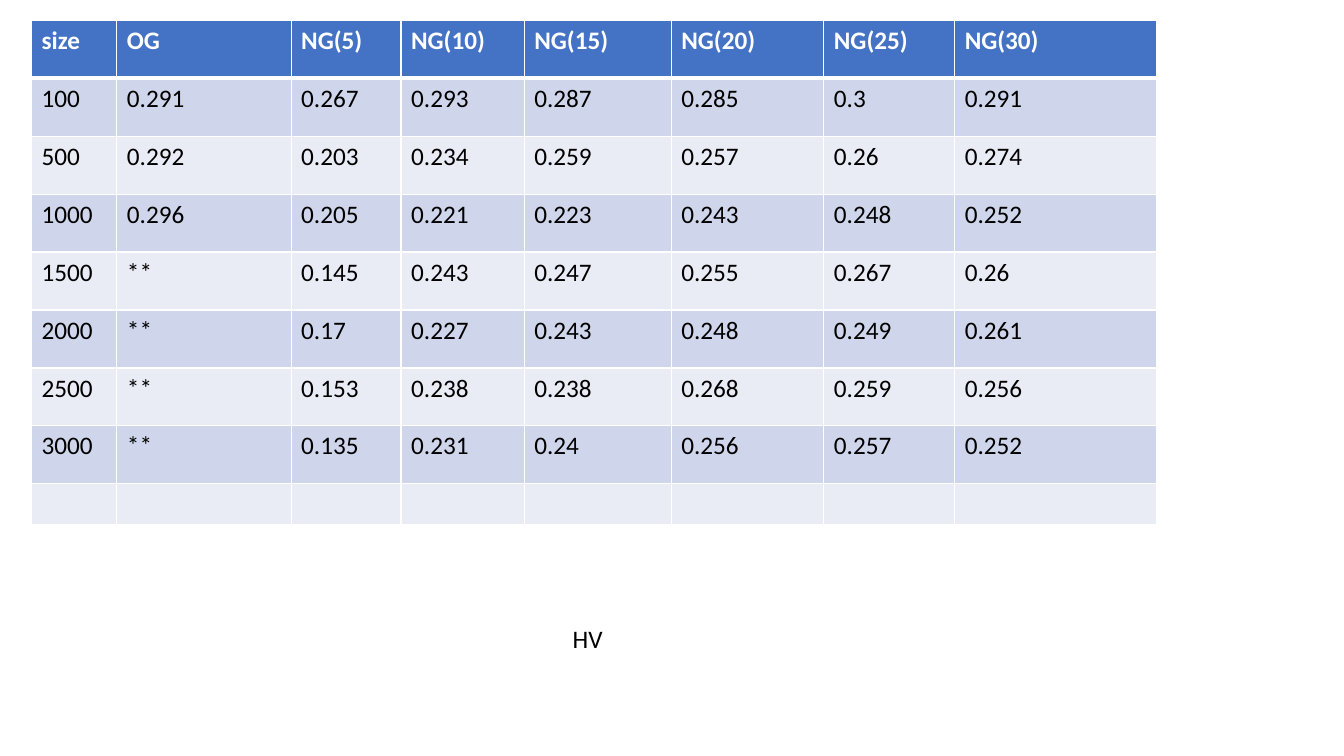
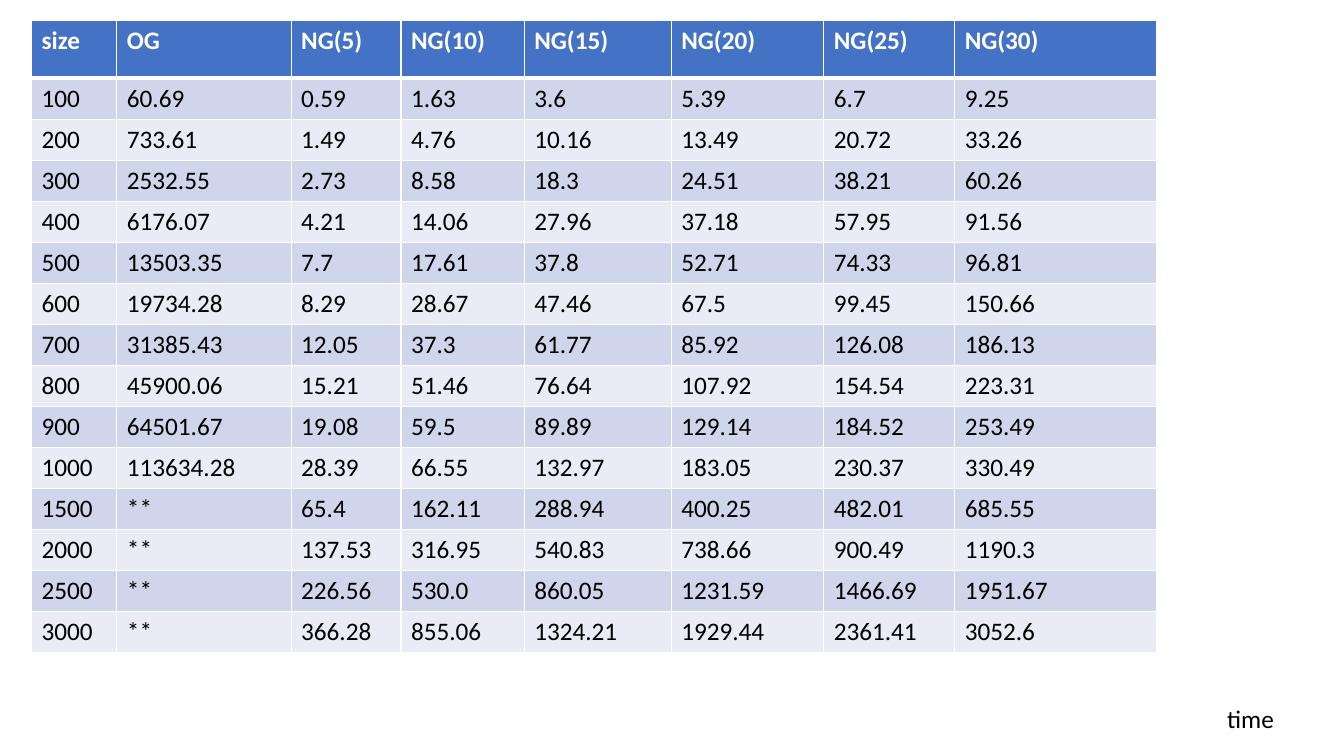
from lxml import etree
from pptx import Presentation
from pptx.dml.color import RGBColor
from pptx.enum import text
from pptx.oxml import ns
from pptx.util import Pt

COLOURS = {
    "header": "4472C4",
    "dark_band": "CFD5EA",
    "light_band": "E9EBF5",
    "white": "FFFFFF",
    "black": "000000",
}
FONT = "Calibri"
TEXT_SIZE = 18
BLANK_LAYOUT = 6
TABLE_LEFT, TABLE_TOP = 22.5, 14.5
COLUMN_WIDTHS = [61, 124.5, 78.5, 88, 105, 109, 93.5, 144.5]
HEADER_HEIGHT = 41.4
THIN, THICK = 1, 3

HEADINGS = ["size", "OG"] + [f"NG({count})" for count in range(5, 31, 5)]

HV_RESULTS = """
100 0.291 0.267 0.293 0.287 0.285 0.3 0.291
500 0.292 0.203 0.234 0.259 0.257 0.26 0.274
1000 0.296 0.205 0.221 0.223 0.243 0.248 0.252
1500 ** 0.145 0.243 0.247 0.255 0.267 0.26
2000 ** 0.17 0.227 0.243 0.248 0.249 0.261
2500 ** 0.153 0.238 0.238 0.268 0.259 0.256
3000 ** 0.135 0.231 0.24 0.256 0.257 0.252
"""

TIME_RESULTS = """
100 60.69 0.59 1.63 3.6 5.39 6.7 9.25
200 733.61 1.49 4.76 10.16 13.49 20.72 33.26
300 2532.55 2.73 8.58 18.3 24.51 38.21 60.26
400 6176.07 4.21 14.06 27.96 37.18 57.95 91.56
500 13503.35 7.7 17.61 37.8 52.71 74.33 96.81
600 19734.28 8.29 28.67 47.46 67.5 99.45 150.66
700 31385.43 12.05 37.3 61.77 85.92 126.08 186.13
800 45900.06 15.21 51.46 76.64 107.92 154.54 223.31
900 64501.67 19.08 59.5 89.89 129.14 184.52 253.49
1000 113634.28 28.39 66.55 132.97 183.05 230.37 330.49
1500 ** 65.4 162.11 288.94 400.25 482.01 685.55
2000 ** 137.53 316.95 540.83 738.66 900.49 1190.3
2500 ** 226.56 530.0 860.05 1231.59 1466.69 1951.67
3000 ** 366.28 855.06 1324.21 1929.44 2361.41 3052.6
"""


def rgb(name):
    return RGBColor.from_string(COLOURS[name])


def format_text(frame, colour, bold=False):
    for paragraph in frame.paragraphs:
        for run in paragraph.runs:
            run.font.name = FONT
            run.font.size = Pt(TEXT_SIZE)
            run.font.bold = bold
            run.font.color.rgb = rgb(colour)


def add_borders(cell, top, bottom):
    properties = cell._tc.get_or_add_tcPr()
    widths = {"lnL": THIN, "lnR": THIN, "lnT": top, "lnB": bottom}
    for side, width in widths.items():
        line = etree.SubElement(properties, ns.qn(f"a:{side}"), w=str(Pt(width)))
        paint = etree.SubElement(line, ns.qn("a:solidFill"))
        etree.SubElement(paint, ns.qn("a:srgbClr"), val=COLOURS["white"])


def fill_cell(cell, value, row):
    header = row == 0
    band = "header" if header else "dark_band" if row % 2 else "light_band"
    if value:
        cell.text_frame.text = value
        format_text(cell.text_frame, "white" if header else "black", header)
    add_borders(cell, THICK if row == 1 else THIN, THICK if header else THIN)
    cell.fill.solid()
    cell.fill.fore_color.rgb = rgb(band)


def add_results(slide, results, heights):
    rows = [HEADINGS] + results
    frame = slide.shapes.add_table(
        len(rows), len(HEADINGS), Pt(TABLE_LEFT), Pt(TABLE_TOP),
        Pt(sum(COLUMN_WIDTHS)), Pt(sum(heights)))
    table = frame.table
    for column, width in zip(table.columns, COLUMN_WIDTHS):
        column.width = Pt(width)
    for row, (values, height) in enumerate(zip(rows, heights)):
        table.rows[row].height = Pt(height)
        for column, value in enumerate(values):
            fill_cell(table.cell(row, column), value, row)


def add_caption(slide, caption, left, top, width):
    box = slide.shapes.add_textbox(Pt(left), Pt(top), Pt(width), Pt(29))
    frame = box.text_frame
    frame.word_wrap = False
    frame.auto_size = text.MSO_AUTO_SIZE.SHAPE_TO_FIT_TEXT
    frame.text = caption
    format_text(frame, "black")


def parse_results(block):
    return [line.split() for line in block.strip().splitlines()]


def main():
    deck = Presentation()
    deck.slide_width, deck.slide_height = Pt(960), Pt(540)
    layout = deck.slide_layouts[BLANK_LAYOUT]

    hv_slide = deck.slides.add_slide(layout)
    hv = parse_results(HV_RESULTS)
    empty_row = [""] * len(HEADINGS)
    add_results(hv_slide, hv + [empty_row],
                [HEADER_HEIGHT] * (len(hv) + 1) + [28.8])
    add_caption(hv_slide, "HV", 402, 442, 36)

    time_slide = deck.slides.add_slide(layout)
    times = parse_results(TIME_RESULTS)
    add_results(time_slide, times, [HEADER_HEIGHT] + [29.3] * len(times))
    add_caption(time_slide, "time", 869.5, 499, 48)

    deck.save("out.pptx")


if __name__ == "__main__":
    main()
